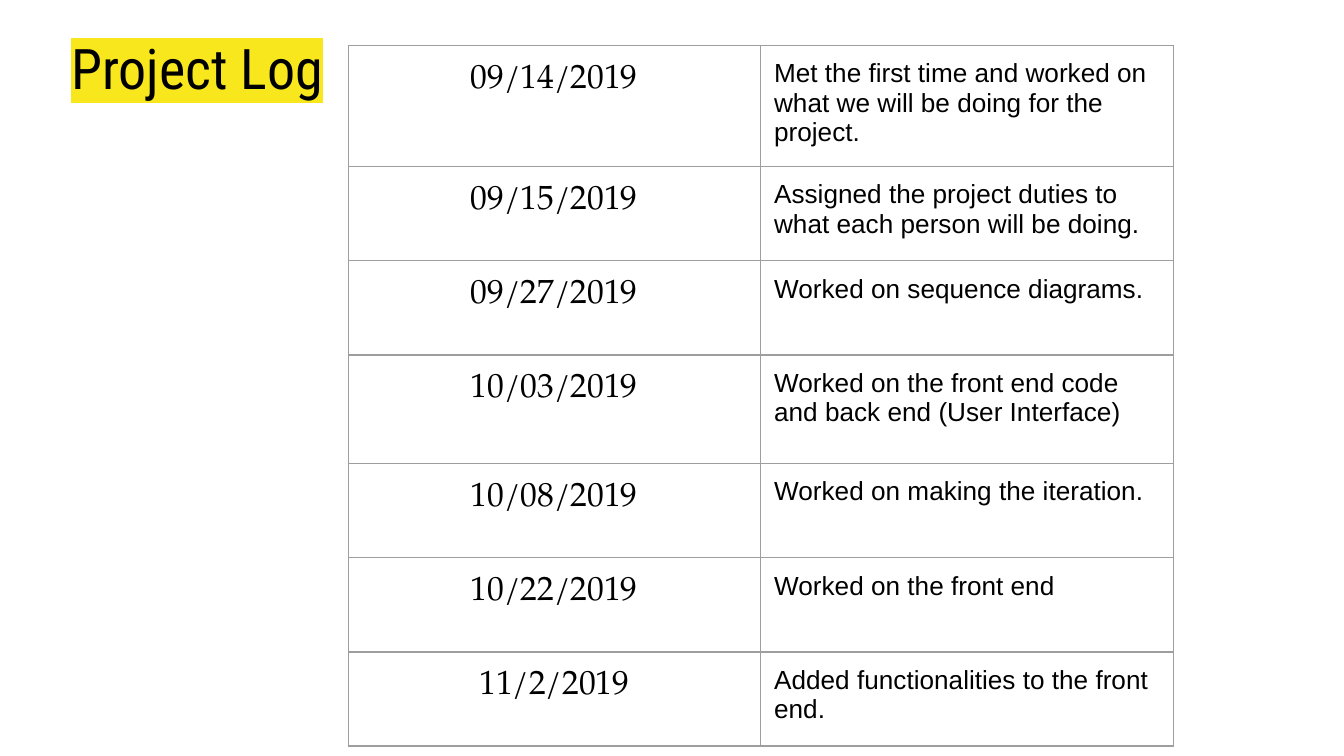
from lxml import etree
from pptx import Presentation
from pptx import util as u
from pptx.dml.color import RGBColor
from pptx.enum import text
from pptx.oxml.ns import qn

BLACK, YELLOW, GREY = "000000", "F8E71C", "9E9E9E"
INSET = u.Inches(0.1)
ROW, TALL_ROW = 0.7, 0.81
LOG = [
    ("09/14/2019", "Met the first time and worked on what we will be doing for the project.", ROW),
    ("09/15/2019", "Assigned the project duties to what each person will be doing.", ROW),
    ("09/27/2019", "Worked on sequence diagrams.", ROW),
    ("10/03/2019", "Worked on the front end code and back end (User Interface)", TALL_ROW),
    ("10/08/2019", "Worked on making the iteration.", ROW),
    ("10/22/2019", "Worked on the front end", ROW),
    ("11/2/2019", "Added functionalities to the front end.", ROW),
]


def rgb(color):
    return RGBColor.from_string(color)


def write(frame, words, font, size, color=BLACK, align=text.PP_ALIGN.LEFT,
          spacing=None, after=None, highlight=None):
    frame.word_wrap = True
    para = frame.paragraphs[0]
    para.alignment = align
    para.line_spacing = spacing
    if after is not None:
        para.space_after = u.Pt(after)
    span = para.add_run()
    span.text = words
    span.font.size = u.Pt(size)
    span.font.color.rgb = rgb(color)
    if highlight:
        mark = etree.SubElement(span.font._element, qn("a:highlight"))
        etree.SubElement(mark, qn("a:srgbClr"), val=highlight)
    span.font.name = font


def set_borders(cell, color, width):
    properties = cell._tc.get_or_add_tcPr()
    for side in ("lnL", "lnR", "lnT", "lnB"):
        line = etree.SubElement(properties, qn(f"a:{side}"), w=str(u.Pt(width)))
        fill = etree.SubElement(line, qn("a:solidFill"))
        etree.SubElement(fill, qn("a:srgbClr"), val=color)


def add_title(page, left, top, width, height):
    box = page.shapes.add_textbox(*map(u.Inches, (left, top, width, height)))
    frame = box.text_frame
    frame.margin_left = frame.margin_right = INSET
    frame.margin_top = frame.margin_bottom = INSET
    write(frame, "Project Log", "Roboto Condensed", 30, highlight=YELLOW)


def add_log(page, left, top, width):
    height = sum(row_height for _, _, row_height in LOG)
    box = page.shapes.add_table(len(LOG), 2, *map(u.Inches, (left, top, width, height)))
    table = box.table
    table.first_row = table.horz_banding = False
    for column in table.columns:
        column.width = u.Inches(width / 2)
    for row, (date, work, row_height) in zip(table.rows, LOG):
        row.height = u.Inches(row_height)
        for cell in row.cells:
            cell.margin_left = cell.margin_right = INSET
            cell.margin_top = cell.margin_bottom = INSET
            set_borders(cell, GREY, 0.75)
            cell.fill.background()
        date_cell, work_cell = row.cells
        write(date_cell.text_frame, date, "TeX Gyre Pagella", 18,
              align=text.PP_ALIGN.CENTER, spacing=1.15, after=16)
        write(work_cell.text_frame, work, "Arial", 14)


def main():
    deck = Presentation()
    deck.slide_width = u.Inches(10)
    deck.slide_height = deck.slide_width * 9 // 16
    page = deck.slides.add_slide(deck.slide_layouts[6])
    add_title(page, 0.43, 0.15, 9.32, 0.63)
    add_log(page, 2.59, 0.34, 6.14)
    deck.save("out.pptx")


if __name__ == "__main__":
    main()
